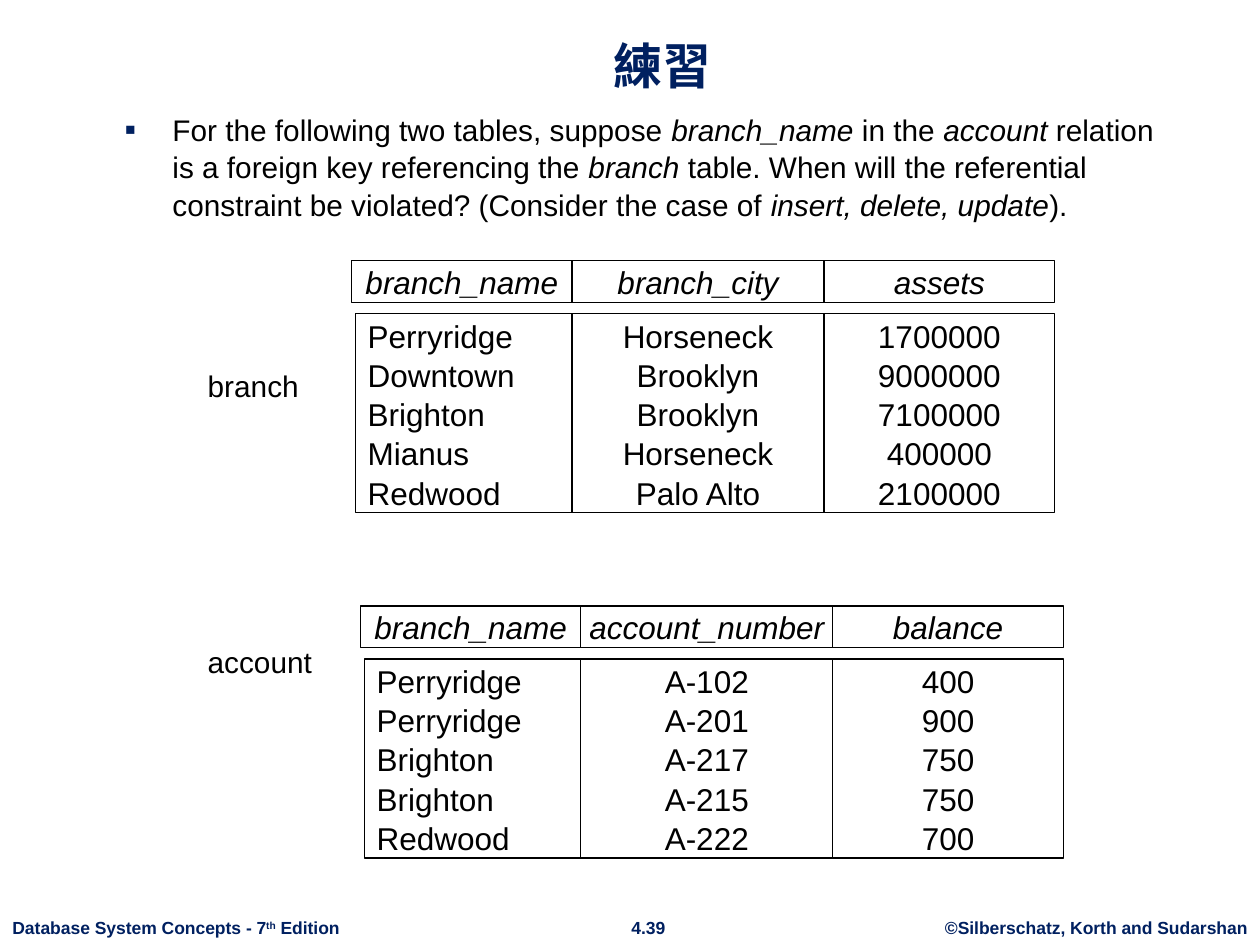
from lxml import etree
from pptx import Presentation
from pptx.dml.color import RGBColor
from pptx.enum.shapes import MSO_SHAPE
from pptx.enum.text import MSO_ANCHOR, PP_ALIGN
from pptx.oxml.ns import qn
from pptx.util import Inches, Pt

RECTANGLE = MSO_SHAPE.RECTANGLE
LEFT, CENTER = PP_ALIGN.LEFT, PP_ALIGN.CENTER
TOP, MIDDLE, BOTTOM = MSO_ANCHOR.TOP, MSO_ANCHOR.MIDDLE, MSO_ANCHOR.BOTTOM
NAVY, BLACK, WHITE = "002060", "000000", "FFFFFF"


def color(value):
    return RGBColor.from_string(value)


def write(shape, lines, size, hue=BLACK, bold=False, italic=False,
          align=LEFT, anchor=MIDDLE, wrap=True, spacing=None):
    """Fill a shape with lines; '*' switches italic on and off in a line."""
    frame = shape.text_frame
    frame.word_wrap = wrap
    frame.vertical_anchor = anchor
    for index, line in enumerate(lines):
        paragraph = frame.add_paragraph() if index else frame.paragraphs[0]
        paragraph.alignment = align
        paragraph.line_spacing = spacing
        for part, piece in enumerate(line.split("*")):
            run = paragraph.add_run()
            run.text = piece
            run.font.name = "Arial"
            run.font.size = Pt(size)
            run.font.bold = bold
            run.font.italic = italic or part % 2 == 1
            run.font.color.rgb = color(hue)
    return frame.paragraphs[0]


presentation = Presentation()
presentation.slide_width, presentation.slide_height = Inches(10), Inches(7.5)
slide = presentation.slides.add_slide(presentation.slide_layouts[6])
shapes = slide.shapes

# Footer
footer_top, footer_height = Inches(7.23), Inches(0.27)
for left, width, text, align in (
    (7.4, 2.6, "©Silberschatz, Korth and Sudarshan", CENTER),
    (4.9, 0.49, "4.39", CENTER),
    (0, 2.81, "Database System Concepts - 7*th* Edition", LEFT),
):
    box = shapes.add_textbox(Inches(left), footer_top, Inches(width), footer_height)
    paragraph = write(box, [text], 10, NAVY, bold=True, align=align, wrap=False)
    for run in paragraph.runs[1:2]:
        run.font.italic = False
        run.font._element.set("baseline", "30000")

# Title
title = shapes.add_textbox(Inches(0.84), Inches(0.13), Inches(8.83), Inches(0.67))
write(title, ["練習"], 28, NAVY, bold=True, align=CENTER, anchor=BOTTOM)

# Question with a square bullet
question = shapes.add_textbox(Inches(0.89), Inches(0.82), Inches(8.38), Inches(1))
paragraph = write(question, [
    "For the following two tables, suppose *branch_name* in the *account* relation "
    "is a foreign key referencing the *branch *table. When will the referential "
    "constraint be violated? (Consider the case of *insert, delete, update*)."
], 17, anchor=TOP, spacing=1.05)
properties = paragraph._p.get_or_add_pPr()
properties.set("marL", str(Inches(0.38)))
properties.set("indent", str(-Inches(0.38)))
bullet_color = etree.SubElement(properties, qn("a:buClr"))
etree.SubElement(bullet_color, qn("a:srgbClr"), val=NAVY)
etree.SubElement(properties, qn("a:buSzPct"), val="110000")
etree.SubElement(properties, qn("a:buFont"), typeface="Arial")
etree.SubElement(properties, qn("a:buChar"), char="▪")

# Relations: name, name's middle, left, top, columns of header and values
relations = (
    ("branch", 3.06, 2.79, 2.07, (
        ("branch_name", "Perryridge", "Downtown", "Brighton", "Mianus", "Redwood"),
        ("branch_city", "Horseneck", "Brooklyn", "Brooklyn", "Horseneck", "Palo Alto"),
        ("assets", "1700000", "9000000", "7100000", "400000", "2100000"),
    )),
    ("account", 5.25, 2.86, 4.81, (
        ("branch_name", "Perryridge", "Perryridge", "Brighton", "Brighton", "Redwood"),
        ("account_number", "A-102", "A-201", "A-217", "A-215", "A-222"),
        ("balance", "400", "900", "750", "750", "700"),
    )),
)
column_widths = (1.75, 2, 1.83)
header_height, values_offset, values_height = 0.33, 0.42, 1.58
first_column_inset = 0.03

for name, middle, table_left, top, columns in relations:
    label = shapes.add_textbox(Inches(1.55), Inches(middle - 0.2), Inches(1.2), Inches(0.4))
    write(label, [name], 17)
    for index, (header, *values) in enumerate(columns):
        left = table_left + sum(column_widths[:index])
        inset = 0 if index else first_column_inset
        for cell_left, cell_top, height, lines in (
            (left, top, header_height, [header]),
            (left + inset, top + values_offset, values_height, values),
        ):
            is_header = lines == [header]
            cell = shapes.add_shape(RECTANGLE, Inches(cell_left), Inches(cell_top),
                                    Inches(column_widths[index]), Inches(height))
            cell.shadow.inherit = False
            cell.fill.solid()
            cell.fill.fore_color.rgb = color(WHITE)
            cell.line.color.rgb = color(BLACK)
            cell.line.width = Pt(0.75)
            write(cell, lines, 18, italic=is_header, wrap=not is_header,
                  align=CENTER if is_header or index else LEFT,
                  spacing=None if is_header else 1.04)

presentation.save("out.pptx")
